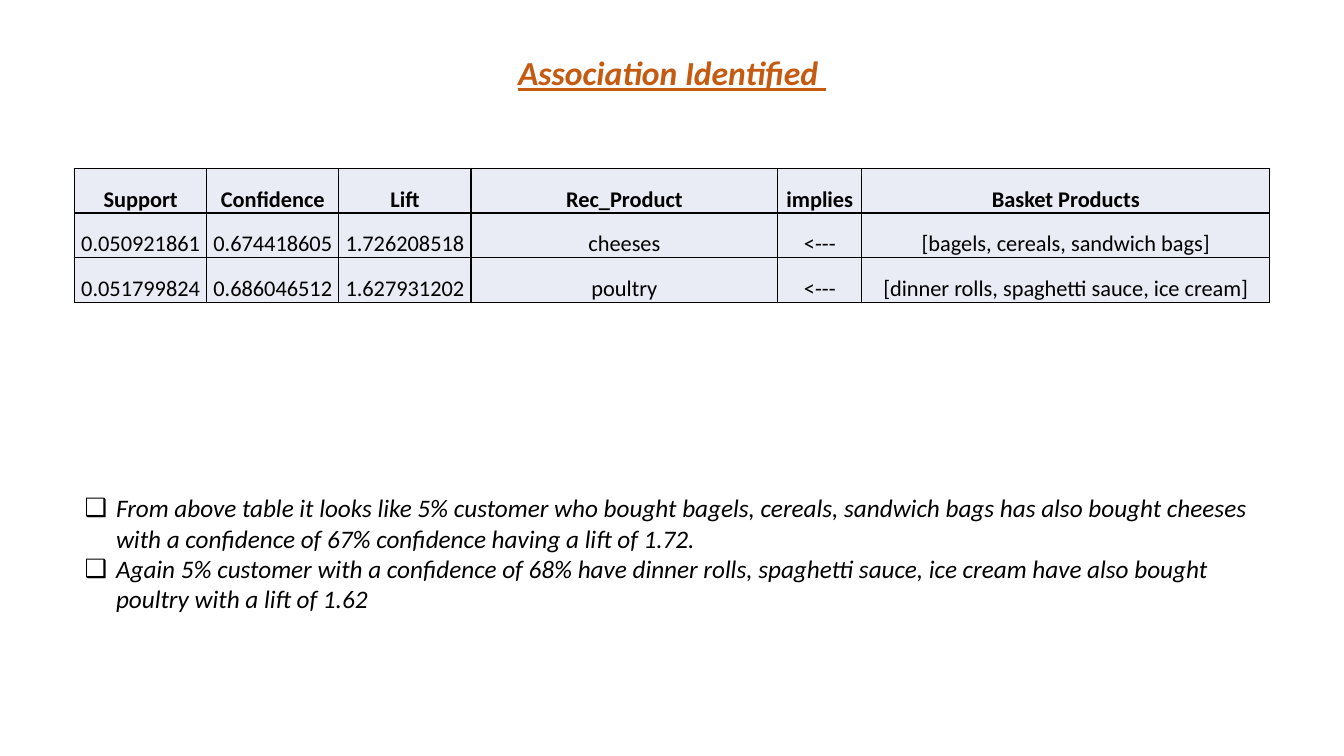
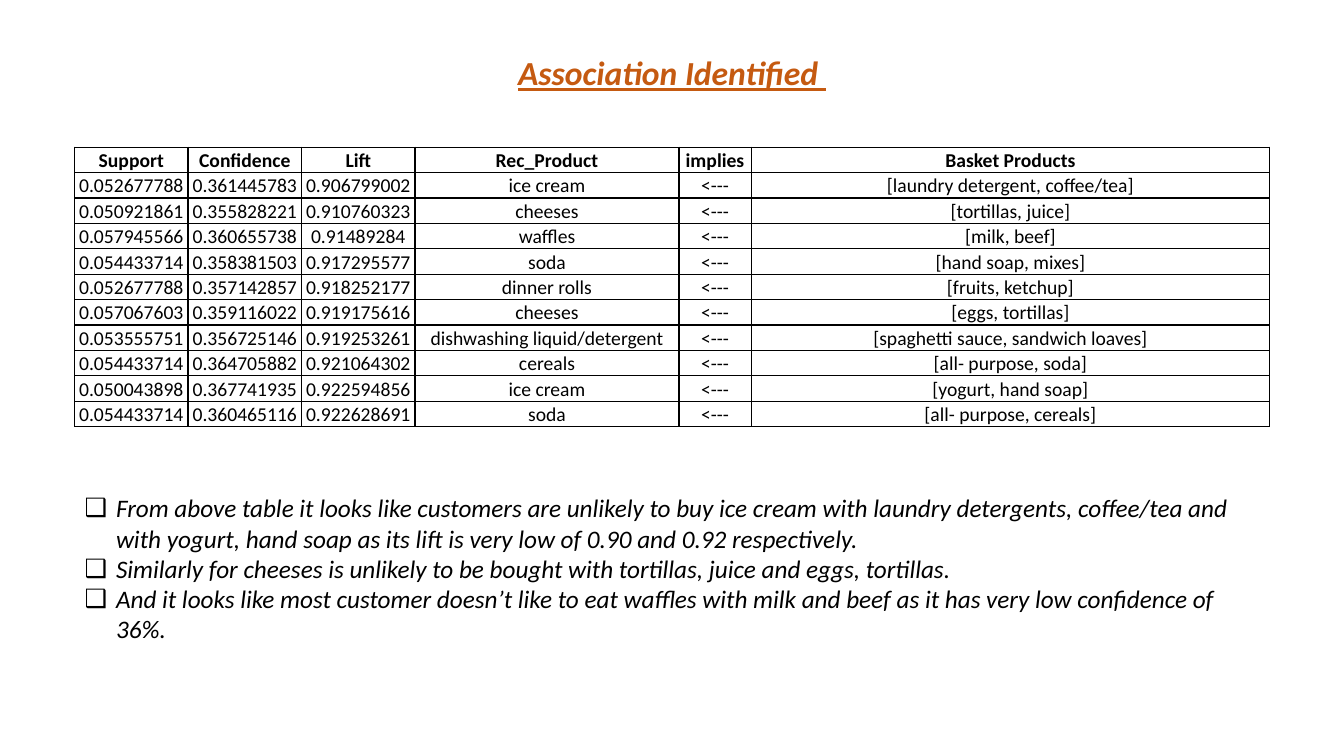
import pptx
import pptx.util
import pptx.dml.color
import pptx.enum.text
import pptx.oxml.ns
import lxml.etree
from dataclasses import dataclass

Cm, Pt = pptx.util.Cm, pptx.util.Pt
RGB = pptx.dml.color.RGBColor.from_string
PP_ALIGN = pptx.enum.text.PP_ALIGN
MSO_ANCHOR = pptx.enum.text.MSO_ANCHOR
MSO_AUTO_SIZE = pptx.enum.text.MSO_AUTO_SIZE
qn = pptx.oxml.ns.qn


@dataclass(frozen=True)
class Theme:
    font: str = "Calibri"
    accent: str = "C55A11"
    ink: str = "000000"
    cell: str = "E9EBF5"
    title_size: int = 24
    body_size: int = 18
    border: int = 1


theme = Theme()


def style(p, size, color=theme.ink, bold=False, italic=False, underline=False):
    for r in p.runs:
        f = r.font
        f.name, f.size, f.color.rgb = theme.font, Pt(size), RGB(color)
        f.bold, f.italic, f.underline = bold, italic, underline


def add_borders(cell):
    tcPr = cell._tc.get_or_add_tcPr()
    for i, side in enumerate(("lnL", "lnR", "lnT", "lnB")):
        ln = lxml.etree.Element(qn("a:" + side), w=str(Pt(theme.border)))
        fill = lxml.etree.SubElement(ln, qn("a:solidFill"))
        lxml.etree.SubElement(fill, qn("a:srgbClr"), val=theme.ink)
        tcPr.insert(i, ln)


width, height = Cm(33.87), Cm(19.05)
left, content_width = Cm(1.88), Cm(30.12)
indent = Cm(0.79)
title = "Association Identified "
header = ("Support", "Confidence", "Lift", "Rec_Product", "implies", "Basket Products")
arrow = "<---"

slides = [
    dict(
        top=4.24, row_height=1.13, widths=(3.33, 3.33, 3.33, 7.73, 2.12),
        size=16, fill=theme.cell, body_height=4.11,
        rows=[
            ("0.050921861", "0.674418605", "1.726208518", "cheeses", "bagels, cereals, sandwich bags"),
            ("0.051799824", "0.686046512", "1.627931202", "poultry", "dinner rolls, spaghetti sauce, ice cream"),
        ],
        points=[
            "From above table it looks like 5% customer who bought bagels, cereals, sandwich bags has also bought cheeses with a confidence of 67% confidence having a lift of 1.72.",
            "Again 5% customer with a confidence of 68% have dinner rolls, spaghetti sauce, ice cream have also bought poultry with a lift of 1.62",
        ],
    ),
    dict(
        top=3.71, row_height=0.64, widths=(2.86, 2.86, 2.86, 6.65, 1.82),
        size=14, fill=None, body_height=4.88,
        rows=[
            ("0.052677788", "0.361445783", "0.906799002", "ice cream", "laundry detergent, coffee/tea"),
            ("0.050921861", "0.355828221", "0.910760323", "cheeses", "tortillas, juice"),
            ("0.057945566", "0.360655738", "0.91489284", "waffles", "milk, beef"),
            ("0.054433714", "0.358381503", "0.917295577", "soda", "hand soap, mixes"),
            ("0.052677788", "0.357142857", "0.918252177", "dinner rolls", "fruits, ketchup"),
            ("0.057067603", "0.359116022", "0.919175616", "cheeses", "eggs, tortillas"),
            ("0.053555751", "0.356725146", "0.919253261", "dishwashing liquid/detergent", "spaghetti sauce, sandwich loaves"),
            ("0.054433714", "0.364705882", "0.921064302", "cereals", "all- purpose, soda"),
            ("0.050043898", "0.367741935", "0.922594856", "ice cream", "yogurt, hand soap"),
            ("0.054433714", "0.360465116", "0.922628691", "soda", "all- purpose, cereals"),
        ],
        points=[
            "From above table it looks like customers are unlikely to buy ice cream with laundry detergents, coffee/tea and with yogurt, hand soap as its lift is very low of 0.90 and 0.92 respectively.",
            "Similarly for cheeses is unlikely to be bought with tortillas, juice and eggs, tortillas.",
            "And it looks like most customer doesn’t like to eat waffles with milk and beef as it has very low confidence of 36%.",
        ],
    ),
]

prs = pptx.Presentation()
prs.slide_width, prs.slide_height = width, height

for data in slides:
    s = prs.slides.add_slide(prs.slide_layouts[1])

    sp = s.shapes.title
    sp.left, sp.top, sp.width, sp.height = 0, Cm(1.19), width, Cm(1.28)
    tf = sp.text_frame
    tf.text = title
    tf.auto_size = MSO_AUTO_SIZE.NONE
    tf.vertical_anchor = MSO_ANCHOR.TOP
    p = tf.paragraphs[0]
    p.alignment = PP_ALIGN.CENTER
    style(p, theme.title_size, theme.accent, bold=True, italic=True, underline=True)

    sp = s.placeholders[1]
    sp.left, sp.top = left, Cm(12.29)
    sp.width, sp.height = content_width, Cm(data["body_height"])
    tf = sp.text_frame
    tf.text = "\n".join(data["points"])
    tf.auto_size = MSO_AUTO_SIZE.NONE
    for p in tf.paragraphs:
        p.space_before = Pt(0)
        style(p, theme.body_size, italic=True)
        pPr = p._p.get_or_add_pPr()
        pPr.set("marL", str(indent))
        pPr.set("indent", str(-indent))
        lxml.etree.SubElement(pPr, qn("a:buChar"), char="❑")

    rows = [header] + [(*row[:4], arrow, f"[{row[4]}]") for row in data["rows"]]
    row_height = Cm(data["row_height"])
    table = s.shapes.add_table(
        len(rows), len(header), left, Cm(data["top"]), content_width, row_height * len(rows)
    ).table
    table.first_row = table.horz_banding = False
    widths = [Cm(w) for w in data["widths"]]
    widths.append(content_width - sum(widths))
    for column, column_width in zip(table.columns, widths):
        column.width = column_width
    for i, row in enumerate(rows):
        table.rows[i].height = row_height
        for j, text in enumerate(row):
            cell = table.cell(i, j)
            cell.text = text
            cell.vertical_anchor = MSO_ANCHOR.BOTTOM
            cell.margin_left = cell.margin_right = cell.margin_top = Cm(0.02)
            cell.margin_bottom = 0
            if data["fill"]:
                cell.fill.solid()
                cell.fill.fore_color.rgb = RGB(data["fill"])
            else:
                cell.fill.background()
            add_borders(cell)
            p = cell.text_frame.paragraphs[0]
            p.alignment = PP_ALIGN.CENTER
            style(p, data["size"], bold=i == 0)

prs.save("out.pptx")
